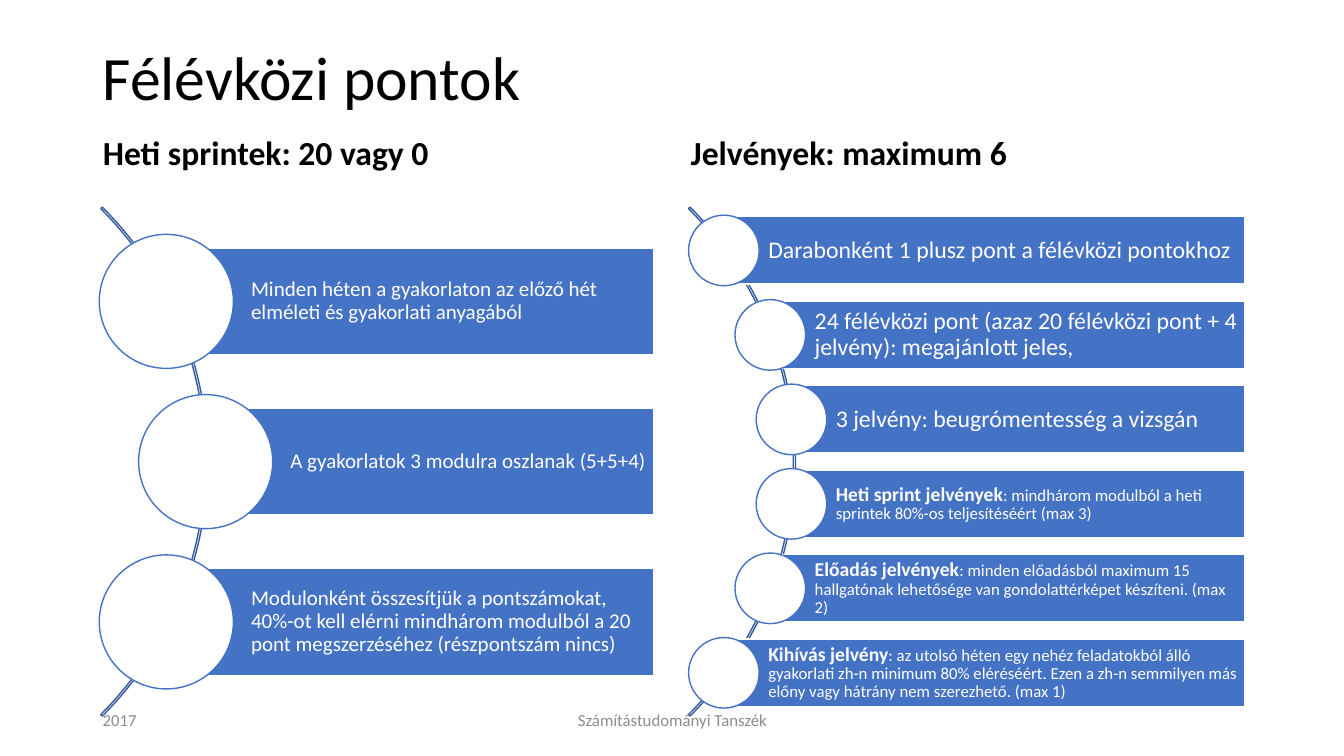
from pptx import Presentation
from pptx.dml.color import RGBColor
from pptx.enum.shapes import MSO_SHAPE
from pptx.enum.text import MSO_ANCHOR, MSO_AUTO_SIZE, PP_ALIGN
from pptx.util import Inches, Pt

BLACK = RGBColor(0x00, 0x00, 0x00)
WHITE = RGBColor(0xFF, 0xFF, 0xFF)
BLUE = RGBColor(0x44, 0x72, 0xC4)
DARK_BLUE = RGBColor(0x36, 0x5B, 0x9D)
GRAY = RGBColor(0x8C, 0x8C, 0x8C)

MIDDLE_Y = 4.58
ARC_DIAMETER = 7.14


def add_outlined_shape(kind, left, top, width, height, line_color):
    shape = slide.shapes.add_shape(
        kind, Inches(left), Inches(top), Inches(width), Inches(height))
    shape.shadow.inherit = False
    shape.line.color.rgb = line_color
    shape.line.width = Pt(1)
    return shape


def write_text(shape, runs, color, anchor, alignment=PP_ALIGN.LEFT):
    """Fill the shape with one paragraph of (text, size, bold) runs."""
    frame = shape.text_frame
    frame.word_wrap = True
    frame.auto_size = MSO_AUTO_SIZE.NONE
    frame.vertical_anchor = anchor
    paragraph = frame.paragraphs[0]
    paragraph.alignment = alignment
    paragraph.line_spacing = 0.9
    paragraph.font.name = "Calibri"
    paragraph.font.color.rgb = color
    for text, size, bold in runs:
        run = paragraph.add_run()
        run.text = text
        run.font.size = Pt(size)
        run.font.bold = bold


presentation = Presentation()
presentation.slide_width = Inches(13.33)
presentation.slide_height = Inches(7.5)
slide = presentation.slides.add_slide(
    presentation.slide_layouts.get_by_name("Comparison"))
placeholders = {p.placeholder_format.idx: p for p in slide.placeholders}

# Title and column headings
headings = [
    (0, "Félévközi pontok", 44, False, MSO_ANCHOR.MIDDLE, (0.92, 0.4, 11.5, 0.8)),
    (1, "Heti sprintek: 20 vagy 0", 24, True, MSO_ANCHOR.BOTTOM, (0.92, 1.23, 5.64, 0.53)),
    (3, "Jelvények: maximum 6", 24, True, MSO_ANCHOR.BOTTOM, (6.75, 1.23, 5.67, 0.53)),
]
for index, text, size, bold, anchor, box in headings:
    heading = placeholders[index]
    heading.left, heading.top, heading.width, heading.height = map(Inches, box)
    write_text(heading, [(text, size, bold)], BLACK, anchor)
for index in (2, 4):
    element = placeholders[index].element
    element.getparent().remove(element)

# Curved lists: each item is the circle's centre and the runs of its bar
sprints = [
    (1.65, [("Minden héten a gyakorlaton az előző hét elméleti és gyakorlati anyagából", 15, False)]),
    (2.04, [("A gyakorlatok 3 modulra oszlanak (5+5+4)", 15, False)]),
    (1.65, [("Modulonként összesítjük a pontszámokat, 40%-ot kell elérni mindhárom modulból "
             "a 20 pont megszerzéséhez (részpontszám nincs)", 15, False)]),
]
badges = [
    (7.18, [("Darabonként 1 plusz pont a félévközi pontokhoz", 17, False)]),
    (7.64, [("24 félévközi pont (azaz 20 félévközi pont + 4 jelvény): megajánlott jeles,", 17, False)]),
    (7.85, [("3 jelvény: beugrómentesség a vizsgán", 17, False)]),
    (7.85, [("Heti sprint jelvények", 14, True),
            (": mindhárom modulból a heti sprintek 80%-os teljesítéséért (max 3)", 12, False)]),
    (7.64, [("Előadás jelvények", 14, True),
            (": minden előadásból maximum 15 hallgatónak lehetősége van "
             "gondolattérképet készíteni. (max 2)", 12, False)]),
    (7.18, [("Kihívás jelvény", 14, True),
            (": az utolsó héten egy nehéz feladatokból álló gyakorlati zh-n minimum 80% eléréséért. "
             "Ezen a zh-n semmilyen más előny vagy hátrány nem szerezhető. (max 1)", 12, False)]),
]
# items, arc left, bars' right edge, pitch, bar height, circle diameter, text inset
curved_lists = [
    (sprints, -5.08, 6.48, 1.59, 1.06, 1.33, 0.84),
    (badges, 0.75, 12.35, 0.838, 0.67, 0.7, 0.44),
]
for items, arc_left, right, pitch, bar_height, diameter, inset in curved_lists:
    arc = add_outlined_shape(MSO_SHAPE.BLOCK_ARC, arc_left, MIDDLE_Y - ARC_DIAMETER / 2,
                             ARC_DIAMETER, ARC_DIAMETER, DARK_BLUE)
    arc.fill.background()
    for position, value in enumerate((189, 27, 0.003)):
        arc.adjustments[position] = value

    for row, (center_x, runs) in enumerate(items):
        center_y = MIDDLE_Y + (row - (len(items) - 1) / 2) * pitch
        bar = add_outlined_shape(MSO_SHAPE.RECTANGLE, center_x, center_y - bar_height / 2,
                                 right - center_x, bar_height, WHITE)
        bar.fill.solid()
        bar.fill.fore_color.rgb = BLUE
        write_text(bar, runs, WHITE, MSO_ANCHOR.MIDDLE)
        frame = bar.text_frame
        frame.margin_left = Inches(inset)
        frame.margin_top = frame.margin_right = frame.margin_bottom = Inches(0.04)

        circle = add_outlined_shape(MSO_SHAPE.OVAL, center_x - diameter / 2,
                                    center_y - diameter / 2, diameter, diameter, BLUE)
        circle.fill.solid()
        circle.fill.fore_color.rgb = WHITE

# Footer
for text, left, width, alignment in [
    ("2017", 0.92, 3, PP_ALIGN.LEFT),
    ("Számítástudományi Tanszék", 4.42, 4.5, PP_ALIGN.CENTER),
]:
    footer = slide.shapes.add_textbox(Inches(left), Inches(6.95), Inches(width), Inches(0.4))
    write_text(footer, [(text, 12, False)], GRAY, MSO_ANCHOR.MIDDLE, alignment)

presentation.save("out.pptx")
